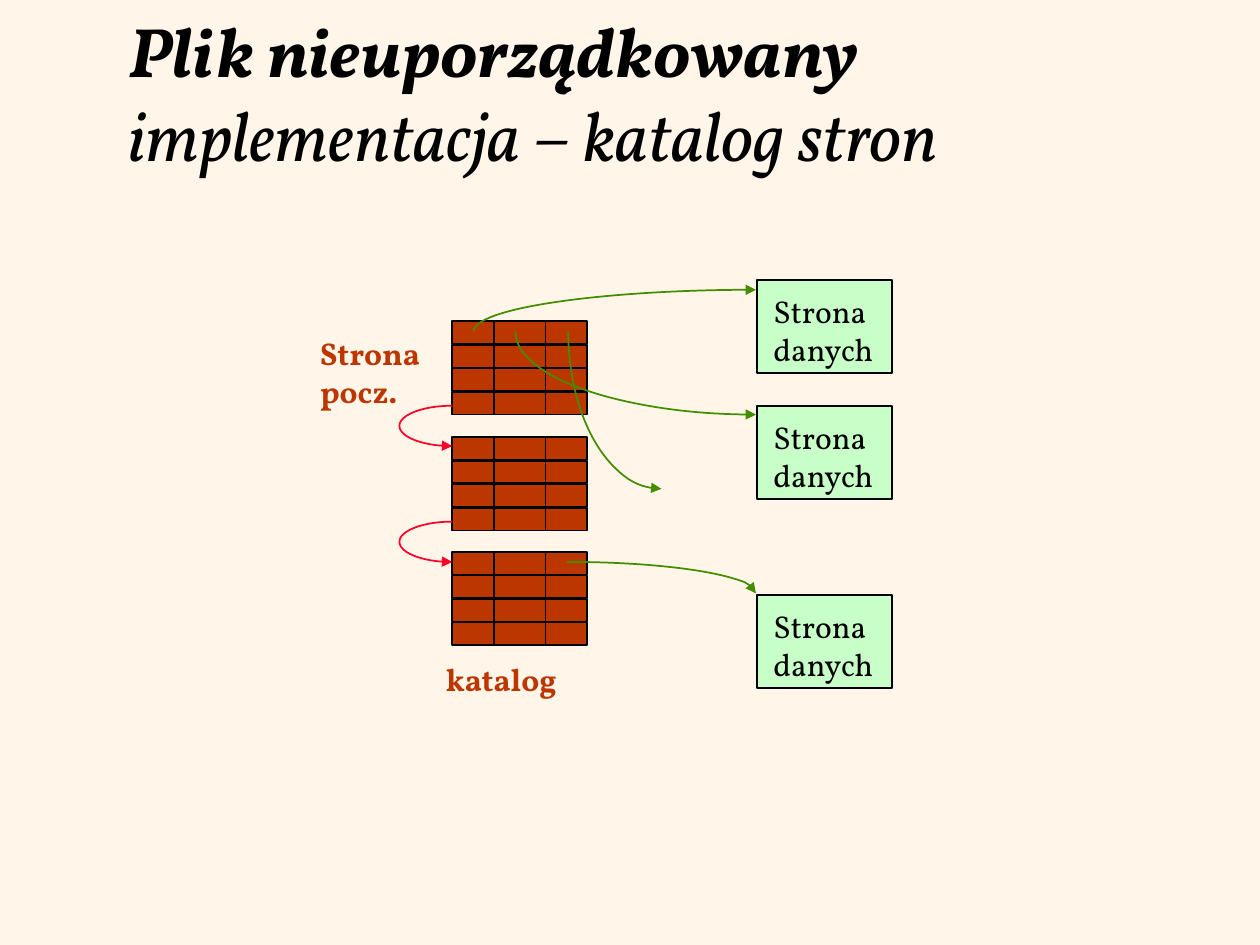
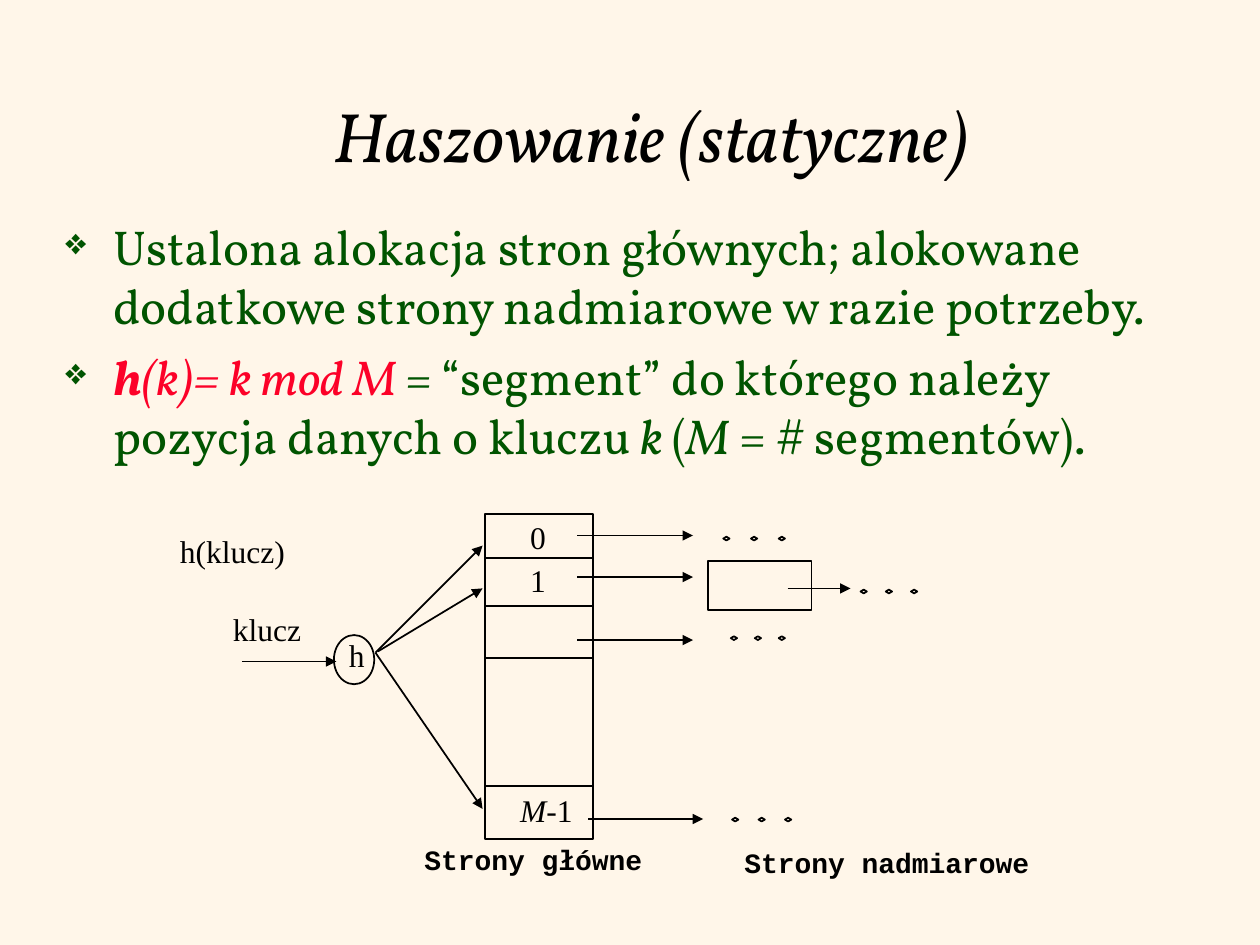
from dataclasses import dataclass, field
from typing import NamedTuple

from lxml.etree import SubElement
from pptx import Presentation
from pptx.dml.color import RGBColor
from pptx.enum.shapes import MSO_CONNECTOR, MSO_SHAPE
from pptx.enum.text import MSO_ANCHOR, MSO_AUTO_SIZE, PP_ALIGN
from pptx.oxml.ns import qn
from pptx.util import Inches, Pt

# Shared look
CREAM = RGBColor(0xFF, 0xF6, 0xE9)
BLACK = RGBColor(0x00, 0x00, 0x00)
RUST = RGBColor(0xBC, 0x37, 0x00)
MINT = RGBColor(0xC8, 0xFE, 0xC8)
RED = RGBColor(0xFC, 0x01, 0x28)
GREEN = RGBColor(0x43, 0x8E, 0x00)
DARK_GREEN = RGBColor(0x00, 0x54, 0x00)

TITLE = dict(name="Vollkorn", size=Pt(40), italic=True, color=BLACK)
BODY = dict(name="Vollkorn", size=Pt(28), color=DARK_GREEN)
PAGE = dict(name="Vollkorn", size=Pt(18), color=BLACK)
DIRECTORY = dict(PAGE, color=RUST, bold=True)
NODE = dict(name="Times New Roman", size=Pt(18), color=BLACK)
CAPTION = dict(name="Courier New", size=Pt(16), color=BLACK, bold=True)


class Run(NamedTuple):
    text: str
    fmt: dict = {}


@dataclass
class Label:
    left: float
    top: float
    width: float
    height: float
    fmt: dict
    paragraphs: list[list[Run]]
    frame: dict = field(default_factory=lambda: dict(
        word_wrap=False, auto_size=MSO_AUTO_SIZE.SHAPE_TO_FIT_TEXT))


class Arc(NamedTuple):
    """Quarter of an ellipse, clockwise from the start angle."""
    cx: float
    cy: float
    rx: float
    ry: float
    start: int
    color: RGBColor
    arrow: str = ""


class Line(NamedTuple):
    x1: float
    y1: float
    x2: float
    y2: float
    arrow: str = ""


class Dots(NamedTuple):
    left: float
    top: float
    pitch: float


# Drawing helpers
def add_slide(prs):
    s = prs.slides.add_slide(prs.slide_layouts[6])
    s.background.fill.solid()
    s.background.fill.fore_color.rgb = CREAM
    return s


def set_font(font, fmt: dict) -> None:
    for name, value in fmt.items():
        if name == "color":
            font.color.rgb = value
        else:
            setattr(font, name, value)


def add_label(s, label: Label):
    sp = s.shapes.add_textbox(*map(Inches, (label.left, label.top, label.width, label.height)))
    tf = sp.text_frame
    for name, value in label.frame.items():
        setattr(tf, name, value)
    for i, runs in enumerate(label.paragraphs):
        p = tf.paragraphs[0] if i == 0 else tf.add_paragraph()
        for run in runs:
            r = p.add_run()
            r.text = run.text
            set_font(r.font, {**label.fmt, **run.fmt})
    return tf


def add_title(s, top: float, runs: list[Run], align=PP_ALIGN.LEFT) -> None:
    frame = dict(word_wrap=True, vertical_anchor=MSO_ANCHOR.MIDDLE)
    tf = add_label(s, Label(0.92, top, 8.5, 1.21, TITLE, [runs], frame))
    tf.paragraphs[0].alignment = align


def add_bullet(p) -> None:
    p.space_before = Pt(7)
    pPr = p._p.get_or_add_pPr()
    pPr.set("marL", str(Inches(0.38)))
    pPr.set("indent", str(-Inches(0.38)))
    SubElement(SubElement(pPr, qn("a:buClr")), qn("a:srgbClr"), val=str(DARK_GREEN))
    SubElement(pPr, qn("a:buSzPct"), val="75000")
    SubElement(pPr, qn("a:buChar"), char="❖")


def set_line(line, color: RGBColor = BLACK, arrow: str = "") -> None:
    line.color.rgb = color
    line.width = Pt(1)
    if arrow:
        SubElement(line._get_or_add_ln(), qn(f"a:{arrow}"), type="triangle")


def add_box(s, preset, left: float, top: float, width: float, height: float, fill=None):
    sp = s.shapes.add_shape(preset, *map(Inches, (left, top, width, height)))
    sp.shadow.inherit = False
    if fill is None:
        sp.fill.background()
    else:
        sp.fill.solid()
        sp.fill.fore_color.rgb = fill
    set_line(sp.line)
    return sp


def add_arc(s, arc: Arc) -> None:
    sp = add_box(s, MSO_SHAPE.ARC, arc.cx - arc.rx, arc.cy - arc.ry, 2 * arc.rx, 2 * arc.ry)
    # Angles are stored in 1/60000 degree, adjustments in 1/100000
    sp.adjustments[0] = arc.start * 0.6
    sp.adjustments[1] = (arc.start + 90) % 360 * 0.6
    set_line(sp.line, arc.color, arc.arrow)


def add_line(s, line: Line) -> None:
    c = s.shapes.add_connector(MSO_CONNECTOR.STRAIGHT, *map(Inches, line[:4]))
    set_line(c.line, arrow=line.arrow)
    SubElement(c._element.spPr, qn("a:effectLst"))


def add_dots(s, dots: Dots) -> None:
    for i in range(3):
        add_box(s, MSO_SHAPE.DIAMOND, dots.left + i * dots.pitch, dots.top, 0.05, 0.03)


def add_directory_page(s, top: float) -> None:
    for row in range(4):
        add_box(s, MSO_SHAPE.RECTANGLE, 3.59, top + row * 0.56 / 3, 1.07, 0.18, RUST)
    for x in (3.92, 4.33):
        add_line(s, Line(x, top, x, top + 0.74))


def build_page_directory(prs) -> None:
    s = add_slide(prs)
    add_title(s, 0.12, [Run("Plik nieuporządkowany ", dict(bold=True)),
                        Run("implementacja – katalog stron")])

    # Directory pages and data pages
    for top in (2.55, 3.47, 4.38):
        add_directory_page(s, top)
    for top in (2.22, 3.22, 4.72):
        add_box(s, MSO_SHAPE.RECTANGLE, 6.01, top, 1.07, 0.74, MINT)
        add_label(s, Label(6.04, top + 0.05, 1.08, 0.7, PAGE, [[Run("Strona")], [Run("danych")]]))
    add_label(s, Label(2.44, 2.6, 1.05, 0.7, DIRECTORY, [[Run("Strona")], [Run("pocz.")]]))
    add_label(s, Label(3.44, 5.19, 1.14, 0.4, DIRECTORY, [[Run("katalog")]]))

    # Links between directory pages
    for cy in (3.38, 4.3):
        add_arc(s, Arc(3.59, cy, 0.42, 0.16, 180, RED))
        add_arc(s, Arc(3.59, cy, 0.42, 0.16, 90, RED, "headEnd"))

    # Pointers to data pages
    for pointer in (
        Arc(6, 2.63, 2.24, 0.33, 180, GREEN, "tailEnd"),
        Arc(6, 2.63, 1.91, 0.66, 90, GREEN, "headEnd"),
        Arc(5.25, 2.63, 0.74, 1.25, 90, GREEN, "headEnd"),
        Arc(4.5, 4.71, 1.5, 0.25, 270, GREEN, "tailEnd"),
    ):
        add_arc(s, pointer)


def build_static_hashing(prs) -> None:
    s = add_slide(prs)
    add_title(s, 0.46, [Run("Haszowanie (statyczne)")], PP_ALIGN.CENTER)

    # Bullets
    italic = dict(italic=True)
    formula = dict(italic=True, color=RED)
    tf = add_label(s, Label(0.42, 1.67, 9.17, 5.33, BODY, [
        [Run("Ustalona alokacja stron głównych; alokowane dodatkowe strony "
             "nadmiarowe w razie potrzeby.")],
        [Run("h", dict(formula, bold=True)), Run("(k)= k mod M ", formula),
         Run("= “segment” do którego należy pozycja danych o kluczu "),
         Run("k ", italic), Run("("), Run("M", italic), Run(" = # segmentów).")],
    ], dict(word_wrap=True)))
    for p in tf.paragraphs:
        add_bullet(p)

    # Overflow page, hash function and column of primary pages
    add_box(s, MSO_SHAPE.RECTANGLE, 5.62, 4.45, 0.82, 0.39)
    add_box(s, MSO_SHAPE.OVAL, 2.65, 5.04, 0.32, 0.39)
    add_box(s, MSO_SHAPE.RECTANGLE, 3.85, 4.08, 0.86, 2.58)
    for y in (4.43, 4.81, 5.22, 6.24):
        add_line(s, Line(3.85, y, 4.71, y))

    # Ellipses after the overflow chains
    for dots in (Dots(5.74, 4.26, 0.22), Dots(6.83, 4.68, 0.2),
                 Dots(5.8, 5.05, 0.19), Dots(5.81, 6.49, 0.21)):
        add_dots(s, dots)

    # Labels
    for label in (
        Label(1.33, 4.17, 1.09, 0.4, NODE, [[Run("h(klucz)")]]),
        Label(2.67, 5, 0.32, 0.4, NODE, [[Run("h")]]),
        Label(1.75, 4.79, 0.74, 0.4, NODE, [[Run("klucz")]]),
        Label(4.11, 4.06, 0.32, 0.4, NODE, [[Run("0")]]),
        Label(4.11, 4.4, 0.32, 0.4, NODE, [[Run("1")]]),
        Label(4.03, 6.23, 0.68, 0.4, NODE, [[Run("M", italic), Run("-1")]]),
        Label(3.27, 6.64, 1.93, 0.36, CAPTION, [[Run("Strony główne")]]),
        Label(5.81, 6.66, 2.46, 0.36, CAPTION, [[Run("Strony nadmiarowe")]]),
    ):
        add_label(s, label)

    # Arrows: key to hash, hash to primary pages, pages to overflow
    for ends in (
        (1.92, 5.25, 2.67, 5.25),
        (3, 5.17, 3.83, 4.67),
        (2.98, 5.18, 3.83, 4.33),
        (2.98, 5.18, 3.83, 6.42),
        *((4.58, y, 5.5, y) for y in (4.25, 4.58, 5.08)),
        (4.67, 6.5, 5.58, 6.5),
        (6.25, 4.67, 6.75, 4.67),
    ):
        add_line(s, Line(*ends, "tailEnd"))


def main() -> None:
    prs = Presentation()
    prs.slide_width, prs.slide_height = Inches(10), Inches(7.5)
    build_page_directory(prs)
    build_static_hashing(prs)
    prs.save("out.pptx")


if __name__ == "__main__":
    main()
